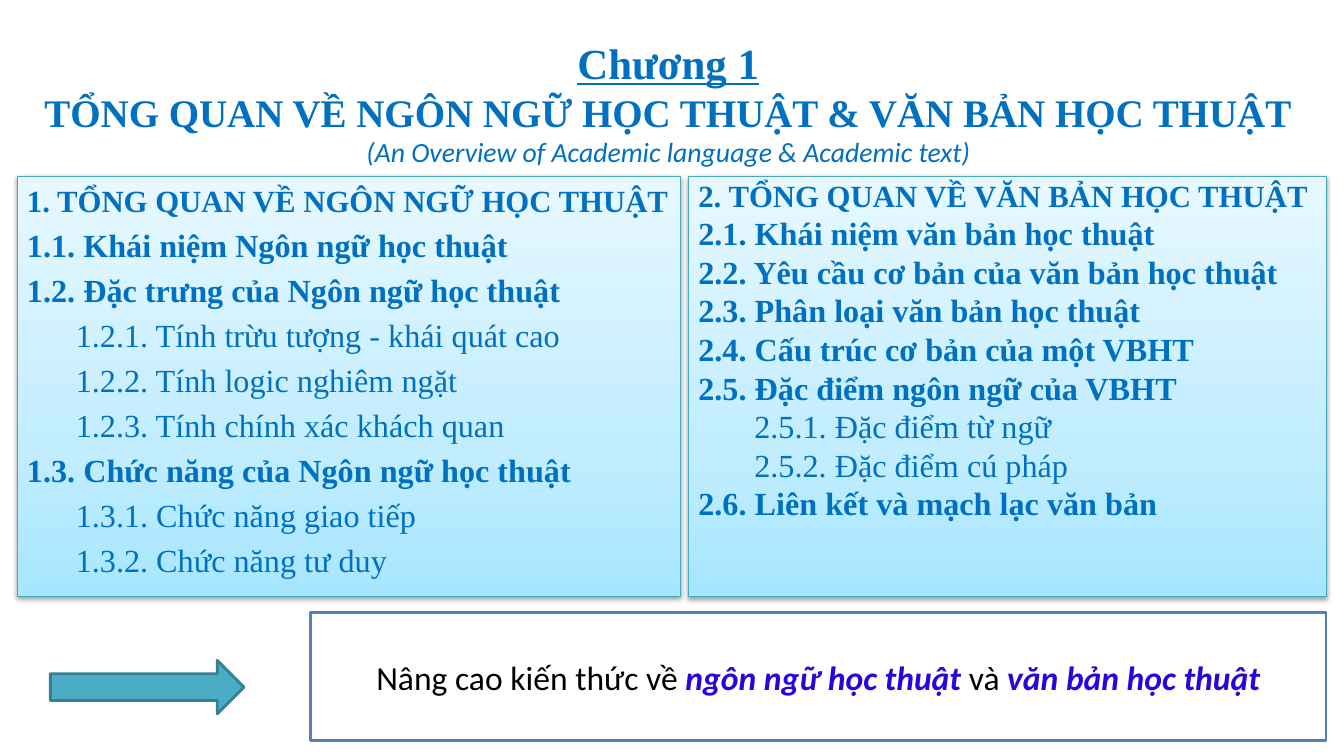
from copy import deepcopy

from lxml import etree
from pptx import Presentation
from pptx.dml.color import RGBColor
from pptx.enum.shapes import MSO_SHAPE
from pptx.enum.text import MSO_ANCHOR, PP_ALIGN
from pptx.oxml.ns import qn
from pptx.util import Cm, Pt

RECT, ARROW = MSO_SHAPE.RECTANGLE, MSO_SHAPE.RIGHT_ARROW
TOP, MIDDLE, BOTTOM = MSO_ANCHOR.TOP, MSO_ANCHOR.MIDDLE, MSO_ANCHOR.BOTTOM
LEFT, CENTER = PP_ALIGN.LEFT, PP_ALIGN.CENTER
SERIF, SANS = "Times New Roman", "Calibri"

COLORS = {
    "text": "0070C0", "accent": "2506DC", "black": "000000", "white": "FFFFFF",
    "edge": "46AAC5", "frame": "4F81BD", "arrow": "4BACC6", "rim": "377F92",
}
GRADE = [(0, "A7E6FF"), (0.35, "C1EDFF"), (1, "E7F8FF")]

HEAD = {"name": SERIF, "size": 22, "bold": True, "color": "text"}
ITEM = {**HEAD, "size": 23}
SUB = {**ITEM, "bold": False}
PLAIN = {"name": SANS, "size": 24, "color": "black"}
KEY = {**PLAIN, "color": "accent", "bold": True, "italic": True}

TITLE = [
    ("Chương 1", {**HEAD, "size": 30.6, "underline": True}),
    ("TỔNG QUAN VỀ NGÔN NGỮ HỌC THUẬT & VĂN BẢN HỌC THUẬT",
     {**HEAD, "size": 27.9}),
    ("(An Overview of Academic language & Academic text)",
     {"name": SANS, "size": 19.8, "italic": True, "color": "text"}),
]
PANELS = [
    {"left": 0.43, "width": 16.71, "indent": 1.23, "before": 4.6, "inset": 0.13,
     "lines": [
         ("1. TỔNG QUAN VỀ NGÔN NGỮ HỌC THUẬT", HEAD),
         ("1.1. Khái niệm Ngôn ngữ học thuật", ITEM),
         ("1.2. Đặc trưng của Ngôn ngữ học thuật", ITEM),
         ("1.2.1. Tính trừu tượng - khái quát cao", SUB),
         ("1.2.2. Tính logic nghiêm ngặt", SUB),
         ("1.2.3. Tính chính xác khách quan", SUB),
         ("1.3. Chức năng của Ngôn ngữ học thuật", ITEM),
         ("1.3.1. Chức năng giao tiếp", SUB),
         ("1.3.2. Chức năng tư duy", SUB),
     ]},
    {"left": 17.35, "width": 16.08, "indent": 1.41, "before": 0, "inset": 0,
     "lines": [
         ("2. TỔNG QUAN VỀ VĂN BẢN HỌC THUẬT", HEAD),
         ("2.1. Khái niệm văn bản học thuật", ITEM),
         ("2.2. Yêu cầu cơ bản của văn bản học thuật", ITEM),
         ("2.3. Phân loại văn bản học thuật", ITEM),
         ("2.4. Cấu trúc cơ bản của một VBHT", ITEM),
         ("2.5. Đặc điểm ngôn ngữ của VBHT", ITEM),
         ("2.5.1. Đặc điểm từ ngữ", SUB),
         ("2.5.2. Đặc điểm cú pháp", SUB),
         ("2.6. Liên kết và mạch lạc văn bản", ITEM),
     ]},
]
GOAL = [
    ("Nâng cao kiến thức về ", PLAIN), ("ngôn ngữ học thuật ", KEY),
    ("và ", PLAIN), ("văn bản học thuật", KEY),
]


def rgb(key):
    return RGBColor.from_string(COLORS[key])


def add_run(para, text, style):
    run = para.add_run()
    run.text = text
    for key, value in style.items():
        if key == "color":
            run.font.color.rgb = rgb(value)
        else:
            setattr(run.font, key, Pt(value) if key == "size" else value)


def set_frame(frame, **form):
    for key, value in {"word_wrap": True, **form}.items():
        setattr(frame, key, value)


def write(frame, lines, align, indent=0, before=0):
    for num, (text, style) in enumerate(lines):
        para = frame.paragraphs[0] if num == 0 else frame.add_paragraph()
        para.alignment = align
        para.space_before = Pt(before)
        if style is SUB:
            para._p.get_or_add_pPr().set("marL", str(Cm(indent)))
        add_run(para, text, style)


def add_box(kind, box, line, width, fill=None):
    shape = slide.shapes.add_shape(kind, *map(Cm, box))
    shape.shadow.inherit = False
    shape.line.color.rgb = rgb(line)
    shape.line.width = Pt(width)
    if fill:
        shape.fill.solid()
        shape.fill.fore_color.rgb = rgb(fill)
    return shape


def shade(shape):
    shape.fill.gradient()
    shape.fill.gradient_angle = 90
    stops = shape._element.spPr.find(".//" + qn("a:gsLst"))
    stops.append(deepcopy(stops[0]))
    for stop, (place, color) in zip(shape.fill.gradient_stops, GRADE):
        stop.position = place
        stop.color.rgb = RGBColor.from_string(color)
    effects = shape._element.spPr.find(qn("a:effectLst"))
    cast = etree.SubElement(
        effects, qn("a:outerShdw"), blurRad=str(Pt(3.1)), dist=str(Pt(1.6)),
        dir="5400000", rotWithShape="0")
    tone = etree.SubElement(cast, qn("a:srgbClr"), val=COLORS["black"])
    etree.SubElement(tone, qn("a:alpha"), val="38000")


deck = Presentation()
deck.slide_width, deck.slide_height = Cm(33.87), Cm(19.05)
slide = deck.slides.add_slide(deck.slide_layouts[6])

title = slide.shapes.add_textbox(*map(Cm, (0.43, 0.43, 32.82, 3.81))).text_frame
set_frame(title, vertical_anchor=BOTTOM, margin_bottom=0)
write(title, TITLE, CENTER)

for panel in PANELS:
    shape = add_box(RECT, (panel["left"], 4.45, panel["width"], 10.59), "edge", 0.75)
    shade(shape)
    set_frame(shape.text_frame, vertical_anchor=TOP,
              margin_top=Cm(panel["inset"]), margin_right=0)
    write(shape.text_frame, panel["lines"], LEFT, panel["indent"], panel["before"])

goal = add_box(RECT, (7.82, 15.44, 25.6, 3.23), "frame", 2, "white").text_frame
set_frame(goal, vertical_anchor=MIDDLE)
goal.paragraphs[0].alignment = CENTER
for text, style in GOAL:
    add_run(goal.paragraphs[0], text, style)

add_box(ARROW, (1.27, 16.64, 4.88, 1.35), "rim", 2, "arrow")

deck.save("out.pptx")
